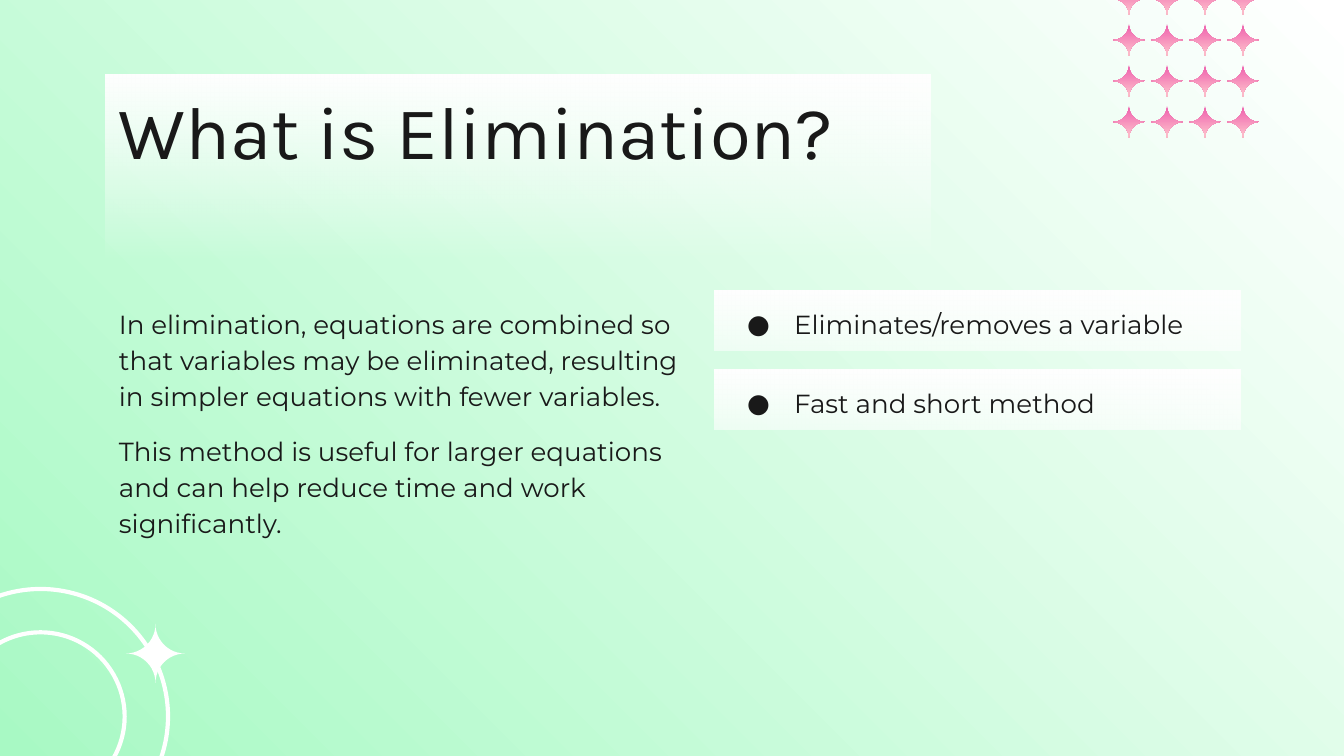
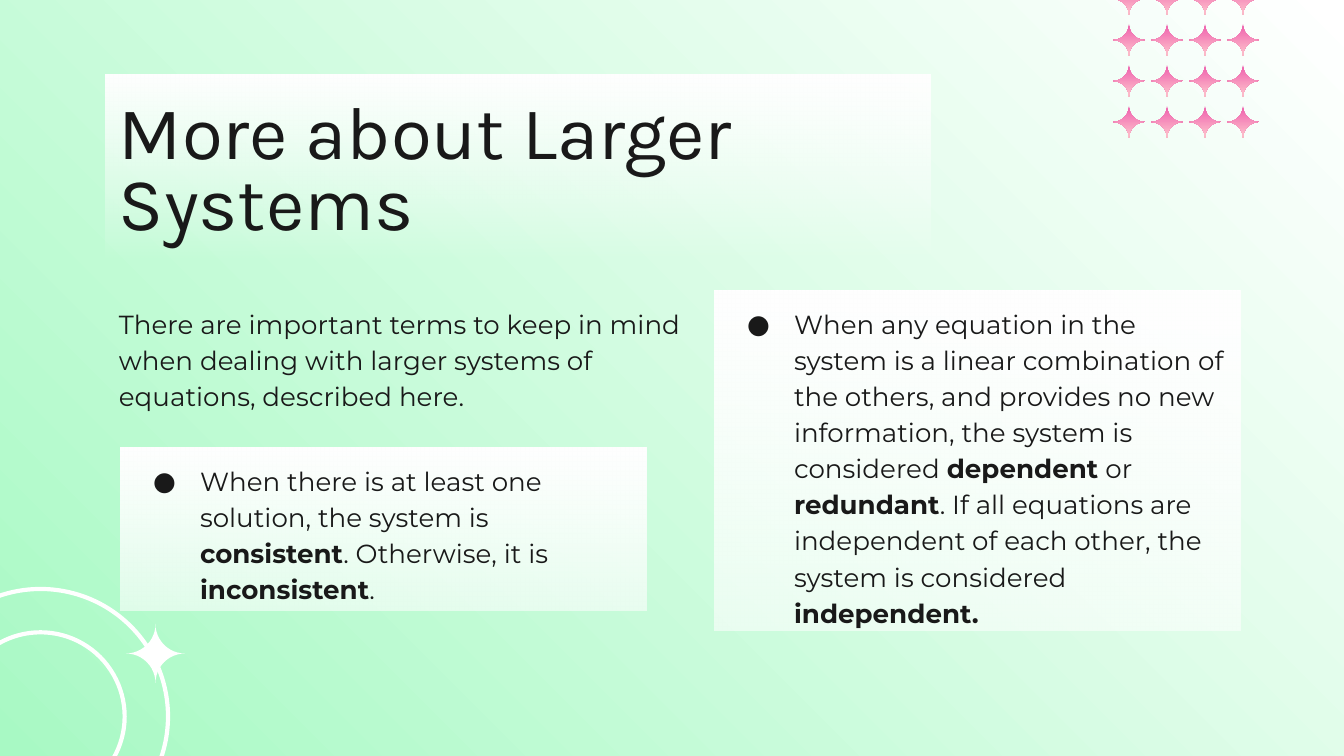
from dataclasses import dataclass
from itertools import product

from lxml import etree
from pptx import Presentation
from pptx.dml.color import RGBColor
from pptx.enum.shapes import MSO_SHAPE
from pptx.enum.text import MSO_ANCHOR, PP_ALIGN
from pptx.oxml.ns import qn
from pptx.util import Emu, Pt

RECTANGLE, DONUT, PLAQUE = MSO_SHAPE.RECTANGLE, MSO_SHAPE.DONUT, MSO_SHAPE.PLAQUE
TOP, LEFT = MSO_ANCHOR.TOP, PP_ALIGN.LEFT


@dataclass(frozen=True)
class Theme:
    ink: str = "191919"
    white: str = "FFFFFF"
    mint: str = "A8F9C4"
    pink: str = "EE5DAC"
    blush: str = "FFC6CD"
    title_font: str = "Karla"
    body_font: str = "Montserrat"
    title_size: int = 40
    body_size: int = 14
    ring_width: float = 2.25
    card_opacity: int = 58


THEME = Theme()

# Bold words stand between double asterisks; each box is left, top, width, height in px.
SLIDES = [
    {
        "title": "What is Elimination?",
        "body": [
            "In elimination, equations are combined so that variables may be eliminated, "
            "resulting in simpler equations with fewer variables.",
            "This method is useful for larger equations and can help reduce time and work "
            "significantly.",
        ],
        "cards": [
            ("Eliminates/removes a variable", (714, 291, 526, 60)),
            ("Fast and short method", (714, 370, 526, 60)),
        ],
    },
    {
        "title": "More about Larger Systems",
        "body": [
            "There are important terms to keep in mind when dealing with larger systems of "
            "equations, described here.",
        ],
        "cards": [
            ("When any equation in the system is a linear combination of the others, and "
             "provides no new information, the system is considered **dependent** or "
             "**redundant**. If all equations are independent of each other, the system is "
             "considered **independent.**", (714, 291, 526, 340)),
            ("When there is at least one solution, the system is **consistent**. "
             "Otherwise, it is **inconsistent**.", (120, 448, 526, 163)),
        ],
    },
]

PX = 914400 / 134.4
SLIDE_SIZE = (1344, 756)
TITLE_BOX = (106, 75, 825, 185)
BODY_BOX = (106, 291, 594, 370)
RING_BOX = (-87, 589, 255, 255)
BIG_STAR_BOX = (126, 624, 59, 59)
STAR_GRID = {"left": 1113, "top": -17, "step_x": 38, "step_y": 41, "size": 32, "count": 4}
INSET, TITLE_INSET = 13, 27
BULLET_MARGIN, BULLET_INDENT = 67, -47
UPWARD_RIGHT, DOWNWARD = 45, 270


def px(length):
    return Emu(round(length * PX))


def color(value):
    return RGBColor.from_string(value)


def fill_gradient(fill, start, end, angle):
    fill.gradient()
    fill.gradient_angle = angle
    for stop, position, value in zip(fill.gradient_stops, (0, 1), (start, end)):
        stop.position = position
        stop.color.rgb = color(value)


def fade_end(shape, opacity):
    """Set the opacity, in percent, of the last gradient stop."""
    end_color = shape._element.findall(".//" + qn("a:srgbClr"))[-1]
    etree.SubElement(end_color, qn("a:alpha"), val=str(opacity * 1000))


def add_plain_shape(shapes, kind, box, adjustment=None):
    shape = shapes.add_shape(kind, *map(px, box))
    shape.shadow.inherit = False
    shape.fill.background()
    shape.line.fill.background()
    if adjustment is not None:
        shape.adjustments[0] = adjustment
    return shape


def add_bullet(paragraph):
    properties = paragraph._p.get_or_add_pPr()
    properties.set("marL", str(px(BULLET_MARGIN)))
    properties.set("indent", str(px(BULLET_INDENT)))
    bullet_color = etree.SubElement(properties, qn("a:buClr"))
    etree.SubElement(bullet_color, qn("a:srgbClr"), val=THEME.ink)
    etree.SubElement(properties, qn("a:buFont"), typeface=THEME.body_font)
    etree.SubElement(properties, qn("a:buChar"), char="●")


def write_text(shape, texts, font=THEME.body_font, size=THEME.body_size,
               line_spacing=1.15, space_before=0, top_inset=INSET, bullet=False):
    frame = shape.text_frame
    frame.word_wrap = True
    frame.vertical_anchor = TOP
    frame.margin_left = frame.margin_right = frame.margin_bottom = px(INSET)
    frame.margin_top = px(top_inset)
    for index, text in enumerate(texts):
        paragraph = frame.add_paragraph() if index else frame.paragraphs[0]
        paragraph.alignment = LEFT
        paragraph.line_spacing = line_spacing
        paragraph.space_before = Pt(space_before)
        if bullet:
            add_bullet(paragraph)
        for part, piece in enumerate(text.split("**")):
            if piece:
                run = paragraph.add_run()
                run.text = piece
                run.font.name = font
                run.font.size = Pt(size)
                run.font.bold = part % 2 == 1
                run.font.color.rgb = color(THEME.ink)


def add_panel(slide, box, opacity):
    """Add a white rectangle that fades downward to the given opacity."""
    panel = add_plain_shape(slide.shapes, RECTANGLE, box)
    fill_gradient(panel.fill, THEME.white, THEME.white, DOWNWARD)
    fade_end(panel, opacity)
    return panel


def add_card(slide, text, box):
    write_text(add_panel(slide, box, THEME.card_opacity), [text], bullet=True)


def add_ring(slide):
    ring = add_plain_shape(slide.shapes, DONUT, RING_BOX, 0.17)
    ring.line.color.rgb = color(THEME.white)
    ring.line.width = Pt(THEME.ring_width)


def add_stars(slide):
    big_star = add_plain_shape(slide.shapes, PLAQUE, BIG_STAR_BOX, 0.5)
    big_star.fill.solid()
    big_star.fill.fore_color.rgb = color(THEME.white)

    grid = STAR_GRID
    group = slide.shapes.add_group_shape()
    for row, column in product(range(grid["count"]), repeat=2):
        box = (grid["left"] + column * grid["step_x"], grid["top"] + row * grid["step_y"],
               grid["size"], grid["size"])
        star = add_plain_shape(group.shapes, PLAQUE, box, 0.5)
        fill_gradient(star.fill, THEME.pink, THEME.blush, DOWNWARD)


def build_slide(presentation, content):
    slide = presentation.slides.add_slide(presentation.slide_layouts[6])
    fill_gradient(slide.background.fill, THEME.mint, THEME.white, UPWARD_RIGHT)
    add_ring(slide)
    write_text(add_panel(slide, TITLE_BOX, 0), [content["title"]], font=THEME.title_font,
               size=THEME.title_size, line_spacing=0.8, top_inset=TITLE_INSET)
    body = slide.shapes.add_textbox(*map(px, BODY_BOX))
    write_text(body, content["body"], space_before=10)
    first_card, *other_cards = content["cards"]
    add_card(slide, *first_card)
    add_stars(slide)
    for card in other_cards:
        add_card(slide, *card)


def main():
    presentation = Presentation()
    presentation.slide_width, presentation.slide_height = map(px, SLIDE_SIZE)
    for content in SLIDES:
        build_slide(presentation, content)
    presentation.save("out.pptx")


if __name__ == "__main__":
    main()
